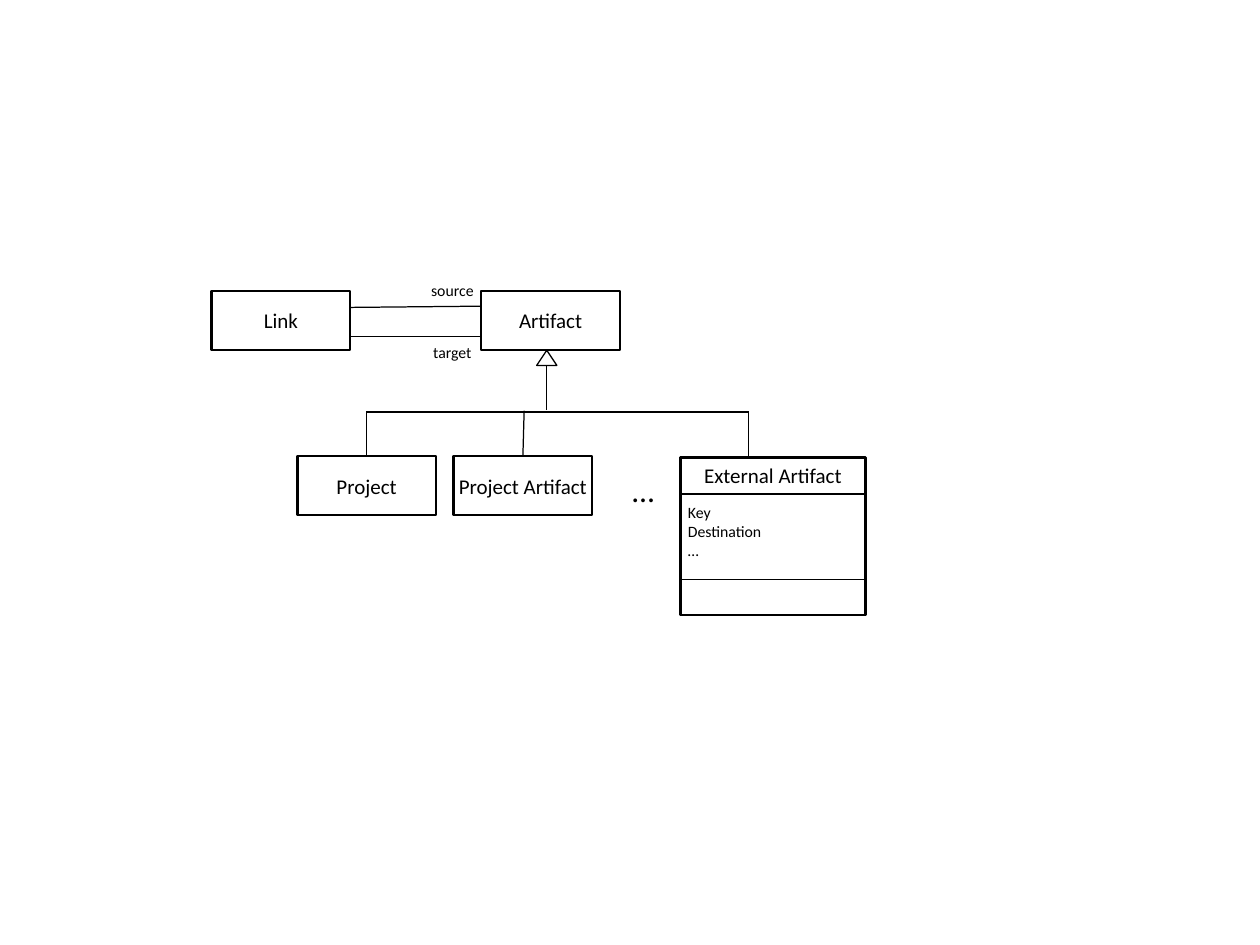
from pptx import Presentation
from pptx.dml.color import RGBColor as Rgb
from pptx.enum.shapes import MSO_CONNECTOR as Conn, MSO_SHAPE as Shape
from pptx.enum.text import MSO_ANCHOR as Anchor, PP_ALIGN as Align
from pptx.oxml.ns import qn
from pptx.util import Inches, Pt
from lxml import etree

INK = {"black": "000000", "white": "FFFFFF"}
FONT = "Calibri"
BOX_W, BOX_H = 1.1, 0.47
THICK, MID, THIN = 1.4, 1, 0.7


def color(name):
    return Rgb.from_string(INK[name])


def write(shape, text, size=12, align=Align.CENTER, anchor=Anchor.TOP,
          pads=(0.1, 0.05, 0.1, 0.05), wrap=True):
    """Set the text of a shape, one paragraph a line."""
    frame = shape.text_frame
    frame.word_wrap = wrap
    frame.vertical_anchor = anchor
    (frame.margin_left, frame.margin_top,
     frame.margin_right, frame.margin_bottom) = map(Inches, pads)
    frame.text = text
    for para in frame.paragraphs:
        para.alignment = align
        for run in para.runs:
            run.font.name = FONT
            run.font.size = Pt(size)
            run.font.color.rgb = color("black")


def add_form(shapes, kind, x, y, w, h, width):
    form = shapes.add_shape(kind, *map(Inches, (x, y, w, h)))
    form.shadow.inherit = False
    form.fill.solid()
    form.fill.fore_color.rgb = color("white")
    form.line.color.rgb = color("black")
    form.line.width = Pt(width)
    return form


def add_box(shapes, text, x, y, w=BOX_W, h=BOX_H, anchor=Anchor.MIDDLE):
    box = add_form(shapes, Shape.RECTANGLE, x, y, w, h, THICK)
    write(box, text, anchor=anchor, pads=[0.04] * 4)


def add_label(shapes, text, x, y, w, h, **style):
    label = shapes.add_textbox(*map(Inches, (x, y, w, h)))
    write(label, text, **style)


def add_line(shapes, x1, y1, x2, y2, width=THIN):
    line = shapes.add_connector(Conn.STRAIGHT, *map(Inches, (x1, y1, x2, y2)))
    line.line.color.rgb = color("black")
    line.line.width = Pt(width)
    etree.SubElement(line._element.spPr, qn("a:effectLst"))


def add_class(shapes, name, fields, x, y, w, h):
    """Add a class box with a name, a field and an empty part."""
    parts = shapes.add_group_shape().shapes
    add_box(parts, name, x, y, w, h, anchor=Anchor.TOP)
    for rule in (3.92, 4.6):
        add_line(parts, x, rule, x + w, rule, MID)
    add_label(parts, "\n".join(fields), x, 3.97, w, 0.32, size=9,
              align=Align.LEFT, pads=(0.06, 0.02, 0.04, 0.02))


def add_links(shapes):
    add_box(shapes, "Artifact", 3.82, 2.31)
    add_box(shapes, "Link", 1.68, 2.31)
    for text, y1, y2, top in (("source", 2.44, 2.43, 2.18),
                              ("target", 2.67, 2.67, 2.67)):
        add_line(shapes, 2.78, y1, 3.82, y2)
        add_label(shapes, text, 3.29, top, 0.6, 0.25, size=9)


def add_tree(shapes):
    add_form(shapes, Shape.ISOSCELES_TRIANGLE, 4.26, 2.78, 0.16, 0.12, 0.75)
    add_line(shapes, 4.34, 3.25, 4.34, 2.9)
    add_line(shapes, 2.91, 3.27, 5.94, 3.27)
    for low, high in ((2.91, 2.91), (5.94, 5.94), (4.15, 4.16)):
        add_line(shapes, low, 3.62, high, 3.26)
    for text, x in (("Project", 2.36), ("Project Artifact", 3.6)):
        add_box(shapes, text, x, 3.62)
    add_label(shapes, "…", 4.92, 3.69, 0.37, 0.39, size=18,
              align=Align.LEFT, wrap=False)
    add_class(shapes, "External Artifact", ("Key", "Destination", "…"),
              5.4, 3.63, 1.47, 1.25)


def main():
    deck = Presentation()
    deck.slide_width, deck.slide_height = Inches(10), Inches(7.5)
    shapes = deck.slides.add_slide(deck.slide_layouts[6]).shapes
    add_links(shapes)
    add_tree(shapes)
    deck.save("out.pptx")


if __name__ == "__main__":
    main()
